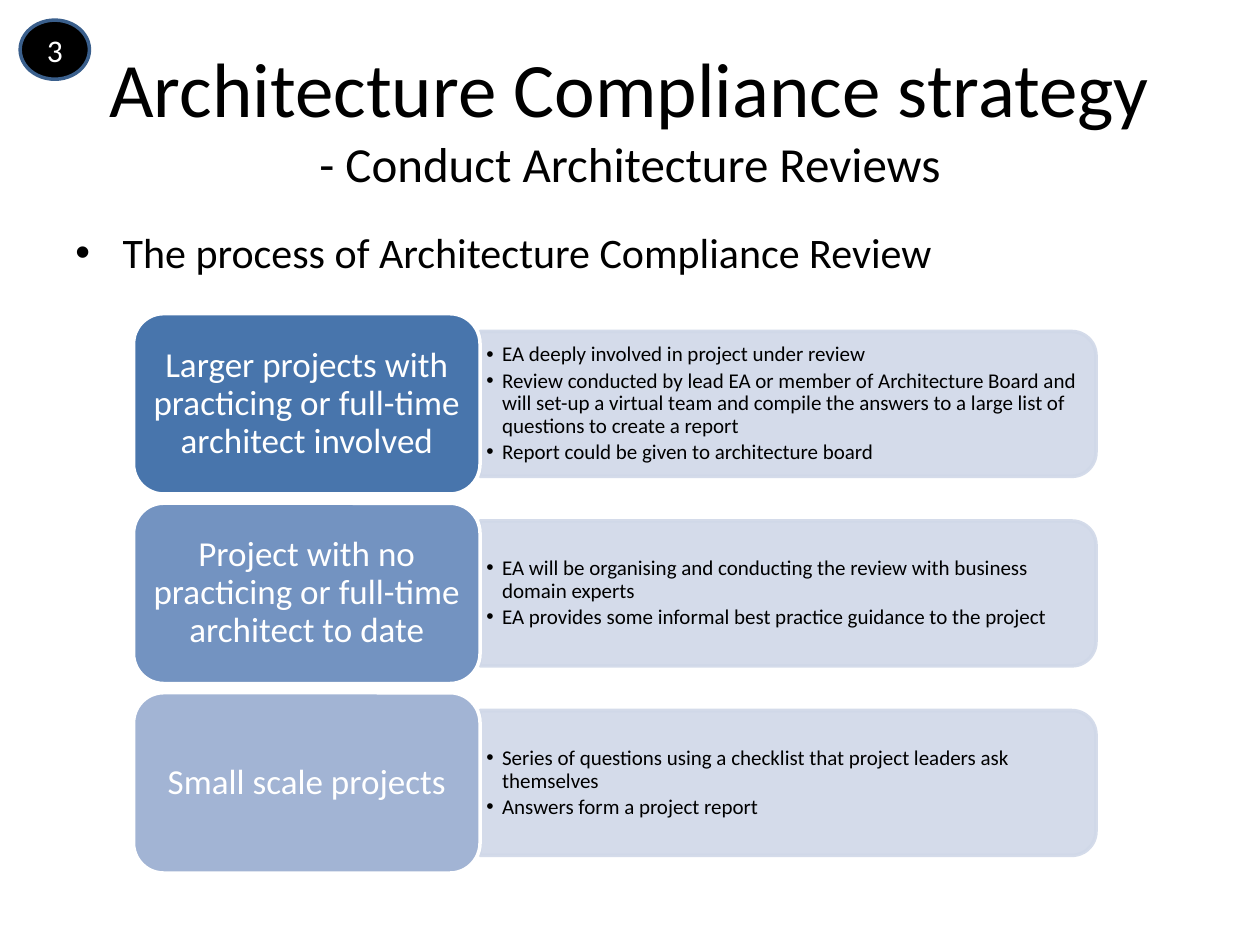
from lxml.etree import SubElement
from pptx import Presentation
from pptx.dml.color import RGBColor
from pptx.enum.shapes import MSO_SHAPE
from pptx.enum.text import MSO_ANCHOR, PP_ALIGN
from pptx.oxml.ns import qn
from pptx.util import Pt

COLORS = {
    "black": "000000",
    "white": "FFFFFF",
    "badge_line": "3A5F8C",
    "panel": "D0D8E8",
}
FONT = "Calibri"
ROW_TOP, ROW_PITCH = 179.3, 108.3
LABEL_LEFT, LABEL_WIDTH, LABEL_HEIGHT = 76.3, 198, 103
PANEL_WIDTH, PANEL_HEIGHT = 352, 82.8

REVIEW_TYPES = [
    ("Larger projects with practicing or full-time architect involved", "4875AC", [
        "EA deeply involved in project under review",
        "Review conducted by lead EA or member of Architecture Board and will set-up "
        "a virtual team and compile the answers to a large list of questions to create a report",
        "Report could be given to architecture board",
    ]),
    ("Project with no practicing or full-time architect to date", "7393C1", [
        "EA will be organising and conducting the review with business domain experts",
        "EA provides some informal best practice guidance to the project",
    ]),
    ("Small scale projects", "A2B4D4", [
        "Series of questions using a checklist that project leaders ask themselves",
        "Answers form a project report",
    ]),
]


def rgb(value):
    return RGBColor.from_string(value)


def format_runs(paragraph, size, color):
    for run in paragraph.runs:
        run.font.name = FONT
        run.font.size = Pt(size)
        run.font.color.rgb = rgb(color)


def set_margins(text_frame, horizontal, vertical):
    text_frame.margin_left = text_frame.margin_right = Pt(horizontal)
    text_frame.margin_top = text_frame.margin_bottom = Pt(vertical)


def set_bullet(paragraph, indent):
    """Give the paragraph a round bullet with a hanging indent in points."""
    properties = paragraph._p.get_or_add_pPr()
    properties.set("marL", str(Pt(indent)))
    properties.set("indent", str(-Pt(indent)))
    SubElement(properties, qn("a:buFont")).set("typeface", "Arial")
    SubElement(properties, qn("a:buChar")).set("char", "•")


def set_opacity(color_format_parent, percent):
    for color in color_format_parent.iter(qn("a:srgbClr")):
        SubElement(color, qn("a:alpha")).set("val", str(percent * 1000))


def add_text(slide, left, top, width, height, text, anchor=MSO_ANCHOR.TOP):
    text_frame = slide.shapes.add_textbox(Pt(left), Pt(top), Pt(width), Pt(height)).text_frame
    text_frame.word_wrap = True
    text_frame.vertical_anchor = anchor
    text_frame.text = text
    return text_frame


def add_filled_shape(slide, kind, left, top, width, height, fill, line):
    shape = slide.shapes.add_shape(kind, Pt(left), Pt(top), Pt(width), Pt(height))
    shape.shadow.inherit = False
    shape.fill.solid()
    shape.fill.fore_color.rgb = rgb(fill)
    shape.line.color.rgb = rgb(line)
    shape.line.width = Pt(2)
    return shape


def set_centered_text(shape, text, size):
    text_frame = shape.text_frame
    text_frame.text = text
    text_frame.vertical_anchor = MSO_ANCHOR.MIDDLE
    paragraph = text_frame.paragraphs[0]
    paragraph.alignment = PP_ALIGN.CENTER
    format_runs(paragraph, size, COLORS["white"])
    return paragraph


def add_title(slide):
    text_frame = add_text(
        slide, 36, 21.6, 648, 90,
        "Architecture Compliance strategy\v- Conduct Architecture Reviews", MSO_ANCHOR.MIDDLE)
    paragraph = text_frame.paragraphs[0]
    paragraph.alignment = PP_ALIGN.CENTER
    format_runs(paragraph, 44, COLORS["black"])
    paragraph.runs[1].font.size = Pt(28)


def add_heading(slide):
    text_frame = add_text(slide, 36, 126, 648, 356, "The process of Architecture Compliance Review")
    paragraph = text_frame.paragraphs[0]
    paragraph.space_before = Pt(4.8)
    set_bullet(paragraph, 27)
    format_runs(paragraph, 24, COLORS["black"])


def add_badge(slide):
    badge = add_filled_shape(slide, MSO_SHAPE.OVAL, 11.5, 11.5, 39.6, 33.8,
                             COLORS["black"], COLORS["badge_line"])
    set_centered_text(badge, "3", 18)


def add_panel(slide, left, center, points):
    """Add a panel rounded on its right side, with bulleted points on top."""
    # The preset is rounded at its top, so it is turned a quarter about its centre.
    panel = add_filled_shape(
        slide, MSO_SHAPE.ROUND_2_SAME_RECTANGLE,
        left + (PANEL_WIDTH - PANEL_HEIGHT) / 2, center - PANEL_WIDTH / 2,
        PANEL_HEIGHT, PANEL_WIDTH, COLORS["panel"], COLORS["panel"])
    panel.rotation = 90
    set_opacity(panel._element.spPr, 90)

    text_frame = add_text(slide, left, center - 37, 348, 74, "\n".join(points), MSO_ANCHOR.MIDDLE)
    set_margins(text_frame, 3.6, 2)
    for paragraph in text_frame.paragraphs:
        paragraph.line_spacing = 0.9
        paragraph.space_after = Pt(2)
        set_bullet(paragraph, 9)
        format_runs(paragraph, 12, COLORS["black"])


def add_label(slide, top, text, fill):
    label = add_filled_shape(slide, MSO_SHAPE.ROUNDED_RECTANGLE, LABEL_LEFT, top,
                             LABEL_WIDTH, LABEL_HEIGHT, fill, COLORS["white"])
    set_margins(label.text_frame, 6, 3)
    set_centered_text(label, text, 20).line_spacing = 0.9


def main():
    presentation = Presentation()
    presentation.slide_width, presentation.slide_height = Pt(720), Pt(540)
    slide = presentation.slides.add_slide(presentation.slide_layouts[6])
    add_title(slide)
    add_heading(slide)
    add_badge(slide)
    for row, (label, fill, points) in enumerate(REVIEW_TYPES):
        top = ROW_TOP + row * ROW_PITCH
        add_panel(slide, LABEL_LEFT + LABEL_WIDTH, top + LABEL_HEIGHT / 2, points)
        add_label(slide, top, label, fill)
    presentation.save("out.pptx")


if __name__ == "__main__":
    main()
